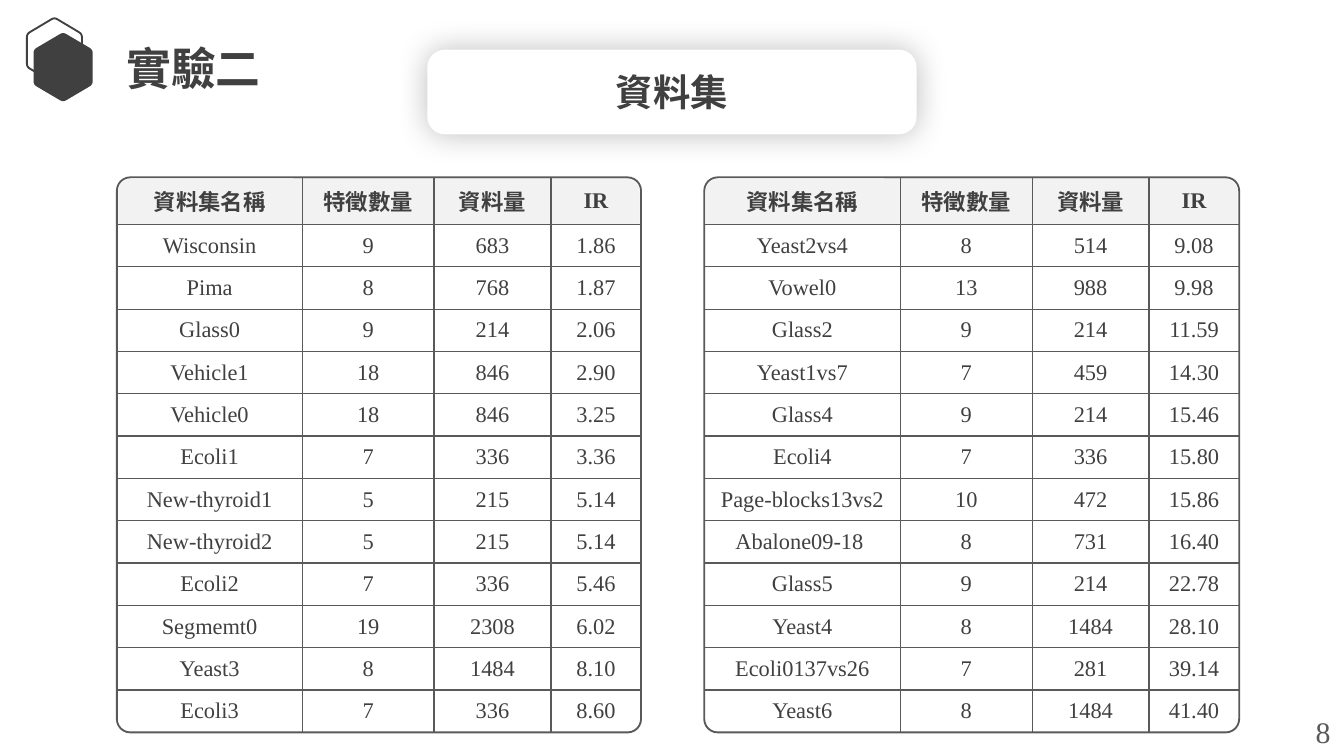
import math

import lxml.etree
import pptx
import pptx.dml.color
import pptx.enum.shapes
import pptx.enum.text
import pptx.oxml.ns
import pptx.util

Inches = pptx.util.Inches
Pt = pptx.util.Pt
Shapes = pptx.enum.shapes.MSO_SHAPE
Align = pptx.enum.text.PP_ALIGN
Anchor = pptx.enum.text.MSO_ANCHOR
AutoSize = pptx.enum.text.MSO_AUTO_SIZE
qn = pptx.oxml.ns.qn

COLORS = {"ink": "404040", "line": "595959", "header": "F2F2F2", "paper": "FFFFFF", "shadow": "000000"}
FONT = "Times New Roman"
PLAIN_TABLE = "{2D5ABB26-0587-4C30-8999-92F81FD0307C}"
HEADER_HEIGHT = 0.35

HEADINGS = ("資料集名稱", "特徵數量", "資料量", "IR")
LOW_IR = (
    ("Wisconsin", "9", "683", "1.86"),
    ("Pima", "8", "768", "1.87"),
    ("Glass0", "9", "214", "2.06"),
    ("Vehicle1", "18", "846", "2.90"),
    ("Vehicle0", "18", "846", "3.25"),
    ("Ecoli1", "7", "336", "3.36"),
    ("New-thyroid1", "5", "215", "5.14"),
    ("New-thyroid2", "5", "215", "5.14"),
    ("Ecoli2", "7", "336", "5.46"),
    ("Segmemt0", "19", "2308", "6.02"),
    ("Yeast3", "8", "1484", "8.10"),
    ("Ecoli3", "7", "336", "8.60"),
)
HIGH_IR = (
    ("Yeast2vs4", "8", "514", "9.08"),
    ("Vowel0", "13", "988", "9.98"),
    ("Glass2", "9", "214", "11.59"),
    ("Yeast1vs7", "7", "459", "14.30"),
    ("Glass4", "9", "214", "15.46"),
    ("Ecoli4", "7", "336", "15.80"),
    ("Page-blocks13vs2", "10", "472", "15.86"),
    ("Abalone09-18 ", "8", "731", "16.40"),
    ("Glass5", "9", "214", "22.78"),
    ("Yeast4", "8", "1484", "28.10"),
    ("Ecoli0137vs26", "7", "281", "39.14"),
    ("Yeast6", "8", "1484", "41.40"),
)


def rgb(name):
    """Return the palette colour called name."""
    return pptx.dml.color.RGBColor.from_string(COLORS[name])


def write(frame, text, size=12, color="ink", bold=False, align=Align.CENTER):
    """Put one formatted line of text into a text frame."""
    paragraph = frame.paragraphs[0]
    paragraph.alignment = align
    run = paragraph.add_run()
    run.text = text
    run.font.name = FONT
    run.font.size = Pt(size)
    run.font.bold = bold
    run.font.color.rgb = rgb(color)


def paint(shape, fill=None, line=None):
    """Give a shape its fill and outline, and no shadow."""
    shape.shadow.inherit = False
    if fill:
        shape.fill.solid()
        shape.fill.fore_color.rgb = rgb(fill)
    else:
        shape.fill.background()
    if line:
        shape.line.color.rgb = rgb(line)
        shape.line.width = Pt(1)
    else:
        shape.line.fill.background()


def add_panel(slide, box, kind, radius, fill, line=None):
    """Add a painted rectangle with corners of the given radius."""
    panel = slide.shapes.add_shape(kind, *map(Inches, box))
    panel.adjustments[0] = radius / min(box[2:])
    paint(panel, fill, line)
    return panel


def add_hexagon(shapes, box, **colors):
    """Add an upright hexagon with rounded corners that fills the box."""
    left, top, width, height = map(Inches, box)
    middle_x, middle_y = left + width / 2, top + height / 2
    half_height = height * 0.52
    corners = []
    for step in range(6):
        angle = math.radians(60 * step - 90)
        corners.append((
            middle_x + width / 2 * math.cos(angle) / math.cos(math.pi / 6),
            middle_y + half_height * math.sin(angle),
        ))
    points = []
    for index, corner in enumerate(corners):
        before, after = corners[index - 1], corners[(index + 1) % 6]
        start, end = (
            [c + 0.1 * (n - c) for c, n in zip(corner, near)] for near in (before, after)
        )
        for t in (0, 0.25, 0.5, 0.75, 1):
            points.append([
                round((1 - t) ** 2 * s + 2 * t * (1 - t) * c + t ** 2 * e)
                for s, c, e in zip(start, corner, end)
            ])
    builder = shapes.build_freeform(*points[0])
    builder.add_line_segments(points[1:], close=True)
    paint(builder.convert_to_shape(), **colors)


def add_emblem(slide, box):
    """Add the outlined hexagon with the solid one in front of it."""
    left, top, width, height = box
    emblem = slide.shapes.add_group_shape()
    add_hexagon(emblem.shapes, (left, top, width - 0.08, height - 0.14), line="ink")
    add_hexagon(emblem.shapes, (left + 0.05, top + 0.11, width - 0.05, height - 0.11), fill="ink")


def add_heading(slide, box):
    """Place and format the slide title."""
    heading = slide.shapes.title
    heading.left, heading.top, heading.width, heading.height = map(Inches, box)
    frame = heading.text_frame
    frame.margin_left = frame.margin_right = Inches(0.07)
    frame.margin_top = frame.margin_bottom = Inches(0.04)
    frame.vertical_anchor = Anchor.TOP
    frame.auto_size = AutoSize.SHAPE_TO_FIT_TEXT
    write(frame, "實驗二", size=24, bold=True, align=Align.LEFT)


def add_page_number(slide, box):
    """Add the page number."""
    frame = slide.shapes.add_textbox(*map(Inches, box)).text_frame
    frame.word_wrap = False
    frame.auto_size = AutoSize.SHAPE_TO_FIT_TEXT
    write(frame, "8", size=16, color="line", align=Align.LEFT)


def add_banner(slide, box):
    """Add the topic banner with its soft shadow."""
    banner = add_panel(slide, box, Shapes.ROUNDED_RECTANGLE, 0.13, "paper")
    effects = banner._element.spPr.find(qn("a:effectLst"))
    shadow = lxml.etree.SubElement(effects, qn("a:outerShdw"), blurRad=str(Pt(17)), dist="0", algn="ctr", rotWithShape="0")
    color = lxml.etree.SubElement(shadow, qn("a:srgbClr"), val=COLORS["shadow"])
    lxml.etree.SubElement(color, qn("a:alpha"), val="25000")
    banner.text_frame.vertical_anchor = Anchor.MIDDLE
    write(banner.text_frame, "資料集", size=20, bold=True)


def add_border(cell, side):
    """Draw a thin line on one side of a table cell."""
    properties = cell._tc.get_or_add_tcPr()
    border = lxml.etree.SubElement(properties, qn("a:ln" + side), w=str(Pt(0.75)))
    fill = lxml.etree.SubElement(border, qn("a:solidFill"))
    lxml.etree.SubElement(fill, qn("a:srgbClr"), val=COLORS["line"])


def add_dataset_table(slide, box, datasets, name_width):
    """Add a rounded frame, its header band and the inner-ruled table."""
    left, top, width, height = box
    add_panel(slide, box, Shapes.ROUNDED_RECTANGLE, 0.1, "paper", "line")
    band = (left + 0.01, top + 0.01, width - 0.02, HEADER_HEIGHT - 0.01)
    add_panel(slide, band, Shapes.ROUND_2_SAME_RECTANGLE, 0.1, "header")

    rows = (HEADINGS, *datasets)
    table = slide.shapes.add_table(len(rows), len(HEADINGS), *map(Inches, box)).table
    table.first_row = table.horz_banding = False
    table._tbl.tblPr.find(qn("a:tableStyleId")).text = PLAIN_TABLE
    for column, column_width in zip(table.columns, (name_width, 0.98, 0.87, 0.67)):
        column.width = Inches(column_width)
    for r, values in enumerate(rows):
        row_height = HEADER_HEIGHT if r == 0 else (height - HEADER_HEIGHT) / len(datasets)
        table.rows[r].height = Inches(row_height)
        for c, value in enumerate(values):
            cell = table.cell(r, c)
            inner = {"L": c > 0, "R": c < len(HEADINGS) - 1, "T": r > 0, "B": r < len(rows) - 1}
            for side in filter(inner.get, inner):
                add_border(cell, side)
            cell.fill.background()
            cell.vertical_anchor = Anchor.MIDDLE
            write(cell.text_frame, value, bold=r == 0)


def main():
    """Build the slide and save it."""
    deck = pptx.Presentation()
    deck.slide_width, deck.slide_height = Inches(10), Inches(10 * 9 / 16)
    slide = deck.slides.add_slide(deck.slide_layouts[5])
    add_emblem(slide, (0.2, 0.14, 0.49, 0.61))
    add_heading(slide, (0.87, 0.26, 1.88, 0.48))
    add_page_number(slide, (9.69, 5.26, 0.31, 0.37))
    add_banner(slide, (3.18, 0.37, 3.64, 0.63))
    add_dataset_table(slide, (0.87, 1.32, 3.9, 4.13), LOW_IR, name_width=1.38)
    add_dataset_table(slide, (5.24, 1.32, 3.98, 4.13), HIGH_IR, name_width=1.46)
    deck.save("out.pptx")


if __name__ == "__main__":
    main()
